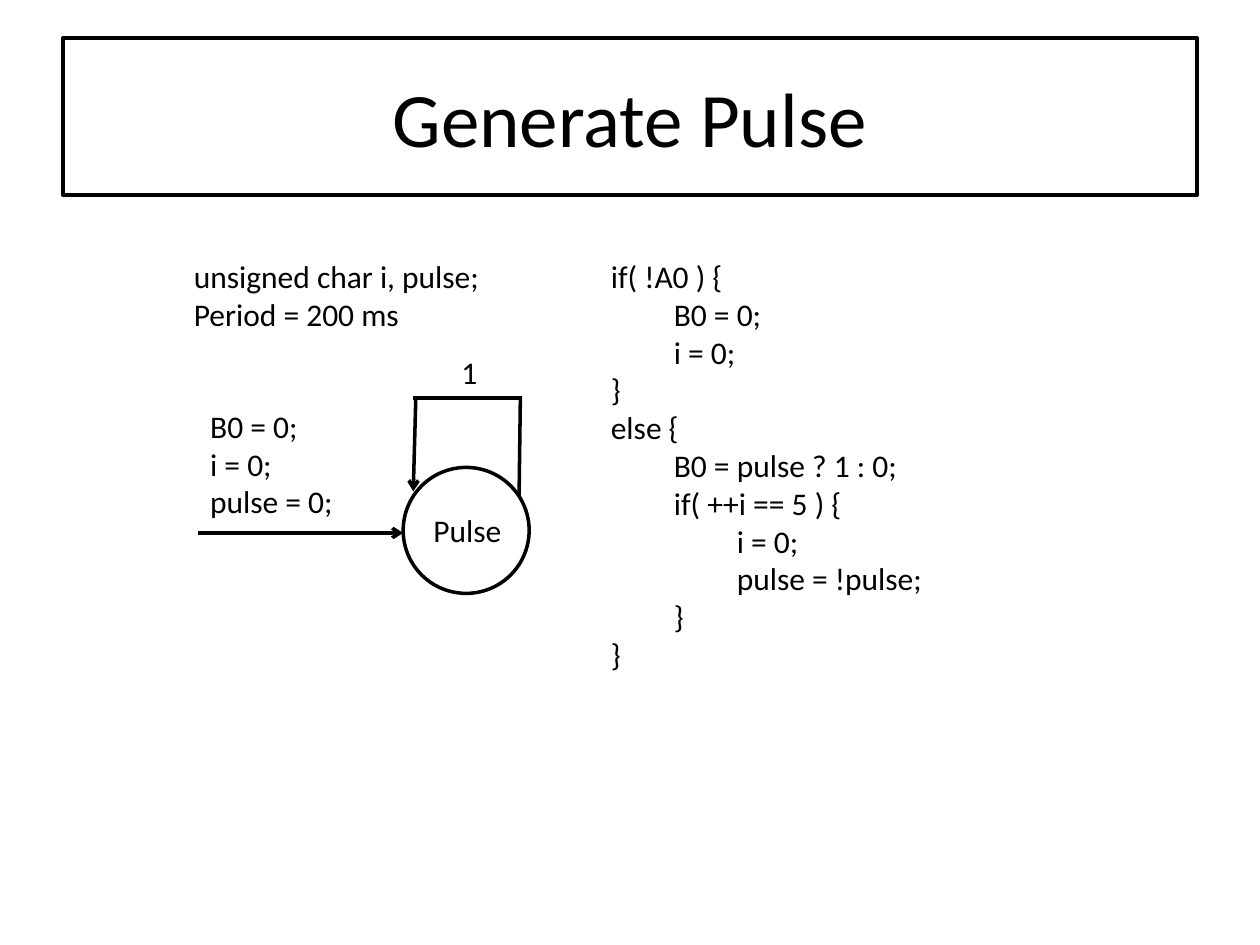
from lxml import etree
from pptx import Presentation
from pptx.dml.color import RGBColor
from pptx.enum.shapes import MSO_CONNECTOR, MSO_SHAPE
from pptx.enum.text import MSO_ANCHOR, PP_ALIGN
from pptx.oxml.ns import qn
from pptx.util import Inches, Pt

LEFT, CENTER = PP_ALIGN.LEFT, PP_ALIGN.CENTER
TOP, MIDDLE = MSO_ANCHOR.TOP, MSO_ANCHOR.MIDDLE
RECT, OVAL = MSO_SHAPE.RECTANGLE, MSO_SHAPE.OVAL
STRAIGHT = MSO_CONNECTOR.STRAIGHT
WIDTH, HEIGHT = 10, 7.5
BLACK, WHITE = "000000", "FFFFFF"
FONT = "Calibri"
INDENT = 0.5
DECLARATIONS = ["unsigned char i, pulse;", "Period = 200 ms"]
INITIAL = ["B0 = 0;", "i = 0;", "pulse = 0;"]
CODE = [
    (0, "if( !A0 ) {"),
    (1, "B0 = 0;"),
    (1, "i = 0;"),
    (0, "}"),
    (0, "else {"),
    (1, "B0 = pulse ? 1 : 0;"),
    (1, "if( ++i == 5 ) {"),
    (2, "i = 0;"),
    (2, "pulse = !pulse;"),
    (1, "}"),
    (0, "}"),
]


def color(value):
    """Turn a hex string into a colour."""
    return RGBColor.from_string(value)


def write(sp, lines, size=18, align=LEFT, anchor=TOP):
    """Fill a shape with (level, text) lines, indented by level."""
    tf = sp.text_frame
    tf.word_wrap = True
    tf.vertical_anchor = anchor
    for i, (level, text) in enumerate(lines):
        p = tf.paragraphs[0] if i == 0 else tf.add_paragraph()
        p.alignment = align
        if level:
            p._p.get_or_add_pPr().set("marL", str(Inches(level * INDENT)))
        r = p.add_run()
        r.text = text
        r.font.name = FONT
        r.font.size = Pt(size)
        r.font.color.rgb = color(BLACK)


def add_text(s, box, lines, align=LEFT):
    """Add a text box of (level, text) lines."""
    write(s.shapes.add_textbox(*map(Inches, box)), lines, align=align)


def add_outline(s, kind, box):
    """Add a white shape with a black outline."""
    sp = s.shapes.add_shape(kind, *map(Inches, box))
    sp.shadow.inherit = False
    sp.fill.solid()
    sp.fill.fore_color.rgb = color(WHITE)
    sp.line.color.rgb = color(BLACK)
    sp.line.width = Pt(2)
    return sp


def add_line(s, start, end, arrow=False):
    """Add a straight line, with an arrowhead at its end if asked."""
    line = s.shapes.add_connector(STRAIGHT, *map(Inches, start + end))
    line.line.color.rgb = color(BLACK)
    line.line.width = Pt(2)
    if arrow:
        etree.SubElement(line.line._get_or_add_ln(), qn("a:tailEnd"), type="arrow")
    etree.SubElement(line._element.spPr, qn("a:effectLst"))


def add_state(s):
    """Draw the state with its entry arrow and its loop."""
    add_outline(s, OVAL, (3.2, 3.71, 1, 1))
    add_text(s, (3.23, 4.01, 0.96, 0.4), [(0, "Pulse")], CENTER)
    add_line(s, (1.57, 4.23), (3.2, 4.23), arrow=True)
    add_line(s, (3.3, 3.16), (3.28, 3.9), arrow=True)
    add_line(s, (4.13, 3.15), (4.12, 3.93))
    add_line(s, (4.14, 3.16), (3.28, 3.16))
    add_text(s, (3.4, 2.75, 0.65, 0.4), [(0, "1")], CENTER)


def main():
    """Build the slide and save it."""
    prs = Presentation()
    prs.slide_width, prs.slide_height = Inches(WIDTH), Inches(HEIGHT)
    s = prs.slides.add_slide(prs.slide_layouts[6])
    title = add_outline(s, RECT, (0.5, 0.3, 9, 1.25))
    write(title, [(0, "Generate Pulse")], 44, CENTER, MIDDLE)
    add_state(s)
    add_text(s, (1.57, 3.18, 1.33, 1.01), [(0, text) for text in INITIAL])
    add_text(s, (4.75, 1.99, 4.3, 3.43), CODE)
    add_text(s, (1.44, 1.99, 2.95, 0.71), [(0, text) for text in DECLARATIONS])
    prs.save("out.pptx")


main()
